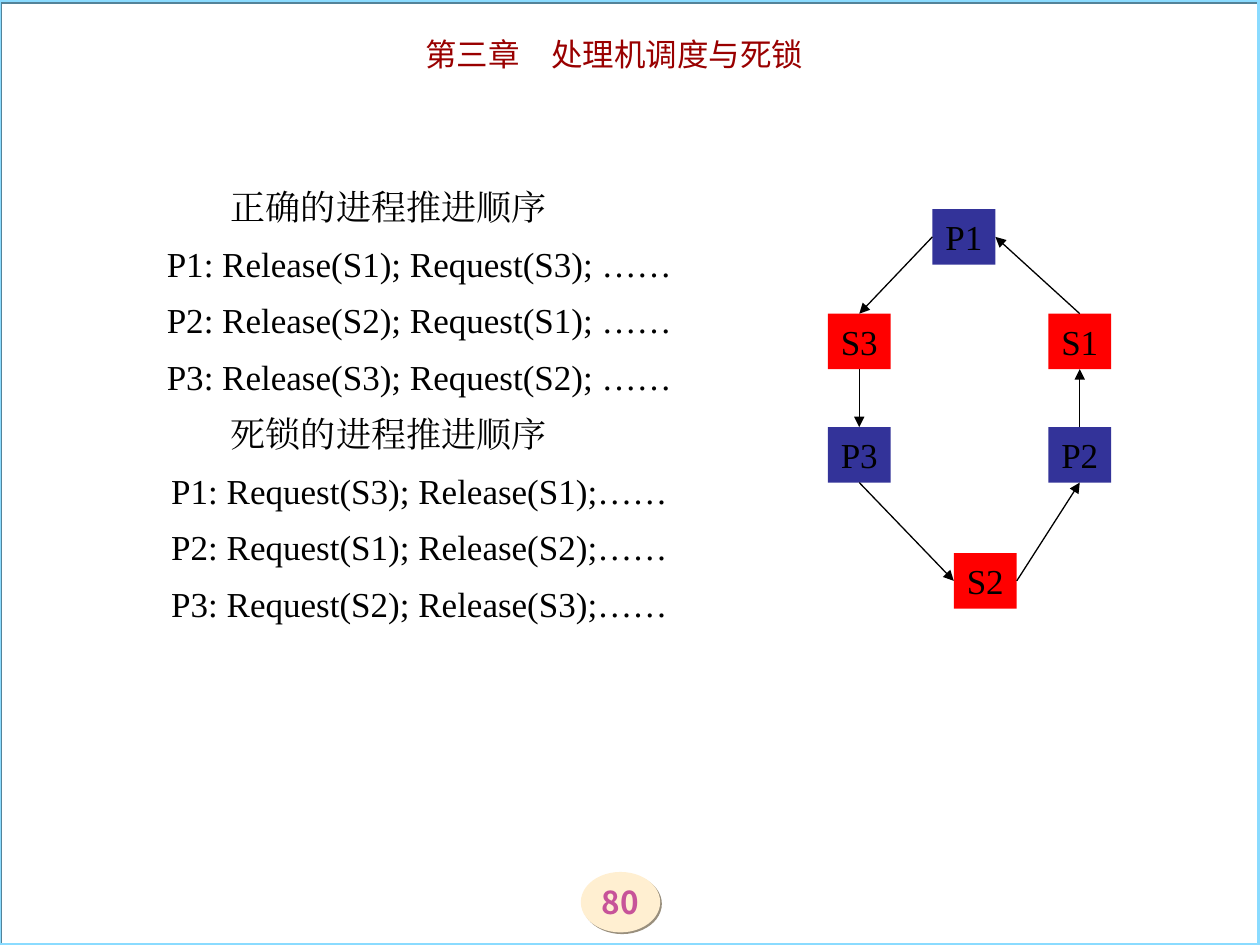
from pptx import Presentation
from pptx import util as u
from pptx.dml.color import RGBColor
from pptx.enum import shapes, text
from pptx.oxml import parse_xml
from pptx.oxml.ns import nsdecls, qn

TITLE = "第三章　处理机调度与死锁"
PAGE = "80"
ORDERS = [
    ("正确的进程推进顺序", [
        "P1: Release(S1); Request(S3); ……",
        "P2: Release(S2); Request(S1); ……",
        "P3: Release(S3); Request(S2); ……"]),
    ("死锁的进程推进顺序", [
        "P1: Request(S3); Release(S1);……",
        "P2: Request(S1); Release(S2);……",
        "P3: Request(S2); Release(S3);……"]),
]
NODES = {  # name: left, top
    "S3": (6.57, 2.49), "S1": (8.32, 2.49), "S2": (7.57, 4.39),
    "P1": (7.4, 1.66), "P3": (6.57, 3.39), "P2": (8.32, 3.39),
}
TOP, LEFT, BOTTOM, RIGHT = range(4)
EDGES = [
    ("S2", RIGHT, "P2", BOTTOM), ("P2", TOP, "S1", BOTTOM),
    ("S3", BOTTOM, "P3", TOP), ("P3", BOTTOM, "S2", LEFT),
    ("P1", LEFT, "S3", TOP), ("S1", TOP, "P1", RIGHT),
]
COLORS = {
    "title": "990000", "text": "000000", "P": "333399", "S": "FF0000",
    "badge": "FFEFD1", "badge shade": "998F7D", "page": "C75399",
    "frame": "8ADBFF", "frame shade": "538399",
}
SERIF = "Times New Roman"


def rgb(name):
    return RGBColor.from_string(COLORS[name])


def style(par, size, face, color, bold=False):
    """Centre a paragraph and set its font for Latin and Chinese text."""
    par.alignment = text.PP_ALIGN.CENTER
    font = par.font
    font.size, font.name, font.bold = u.Pt(size), face, bold
    font.color.rgb = rgb(color)
    font._element.find(qn("a:latin")).addnext(
        parse_xml(f'<a:ea {nsdecls("a")} typeface="{face}"/>'))


def add_box(slide, kind, left, top, width, height, fill=None):
    box = slide.shapes.add_shape(
        kind, *map(u.Inches, (left, top, width, height)))
    box.shadow.inherit = False
    box.line.fill.background()
    if fill:
        box.fill.solid()
        box.fill.fore_color.rgb = rgb(fill)
    else:
        box.fill.background()
    return box


def add_shade(box, color):
    """Give a shape a hard shadow to the lower right."""
    effects = box._element.spPr.find(qn("a:effectLst"))
    effects.append(parse_xml(
        f'<a:outerShdw {nsdecls("a")} dist="17780" dir="2700000" algn="ctr" '
        f'rotWithShape="0"><a:srgbClr val="{COLORS[color]}"/></a:outerShdw>'))


def add_label(box, label, size, face, color, bold=False):
    frame = box.text_frame
    frame.word_wrap = False
    frame.vertical_anchor = text.MSO_ANCHOR.MIDDLE
    frame.margin_left = frame.margin_right = 0
    frame.margin_top = frame.margin_bottom = 0
    frame.text = label
    style(frame.paragraphs[0], size, face, color, bold)


def add_title(slide):
    title = slide.shapes.title
    title.left, title.top = u.Inches(2.08), u.Inches(0.23)
    title.width, title.height = u.Inches(5.59), u.Inches(0.4)
    title.text_frame.text = TITLE
    title.text_frame.vertical_anchor = text.MSO_ANCHOR.TOP
    style(title.text_frame.paragraphs[0], 18, "Noto Sans CJK JP", "title")


def add_orders(slide):
    box = slide.shapes.add_textbox(
        *map(u.Inches, (0.27, 1.39, 5.63, 4.21)))
    frame = box.text_frame
    frame.word_wrap = True
    rows = []
    for head, steps in ORDERS:
        rows += [(head, 0)] + [(step, 0.49) for step in steps]
    for i, (row, indent) in enumerate(rows):
        par = frame.add_paragraph() if i else frame.paragraphs[0]
        par.text = row
        par.line_spacing, par.space_before = 1.1, u.Pt(6)
        style(par, 20, SERIF, "text")
        par._p.get_or_add_pPr().set("marL", str(u.Inches(indent)))


def add_graph(slide):
    boxes = {}
    for name, (left, top) in NODES.items():
        boxes[name] = add_box(slide, shapes.MSO_SHAPE.RECTANGLE,
                              left, top, 0.5, 0.44, name[0])
        add_label(boxes[name], name, 20, SERIF, "text")
    for start, out, end, into in EDGES:
        arrow = slide.shapes.add_connector(
            shapes.MSO_CONNECTOR.STRAIGHT, 0, 0, 0, 0)
        arrow.begin_connect(boxes[start], out)
        arrow.end_connect(boxes[end], into)
        arrow.line.color.rgb = rgb("text")
        arrow.line.width = u.Pt(0.75)
        arrow.line._get_or_add_ln().append(
            parse_xml(f'<a:tailEnd {nsdecls("a")} type="triangle"/>'))
        arrow._element.spPr.append(
            parse_xml(f'<a:effectLst {nsdecls("a")}/>'))


def main():
    deck = Presentation()
    deck.slide_width, deck.slide_height = u.Inches(10), u.Inches(7.5)
    slide = deck.slides.add_slide(deck.slide_layouts[5])

    badge = add_box(slide, shapes.MSO_SHAPE.OVAL,
                    4.61, 6.92, 0.63, 0.48, "badge")
    add_shade(badge, "badge shade")
    add_label(badge, PAGE, 18, "Noto Sans CJK SC", "page", bold=True)

    border = add_box(slide, shapes.MSO_SHAPE.RECTANGLE, -0.01, 0, 10, 7.5)
    border.line.color.rgb = rgb("frame")
    border.line.width = u.Pt(2.25)
    add_shade(border, "frame shade")

    add_title(slide)
    add_orders(slide)
    add_graph(slide)
    deck.save("out.pptx")


if __name__ == "__main__":
    main()
